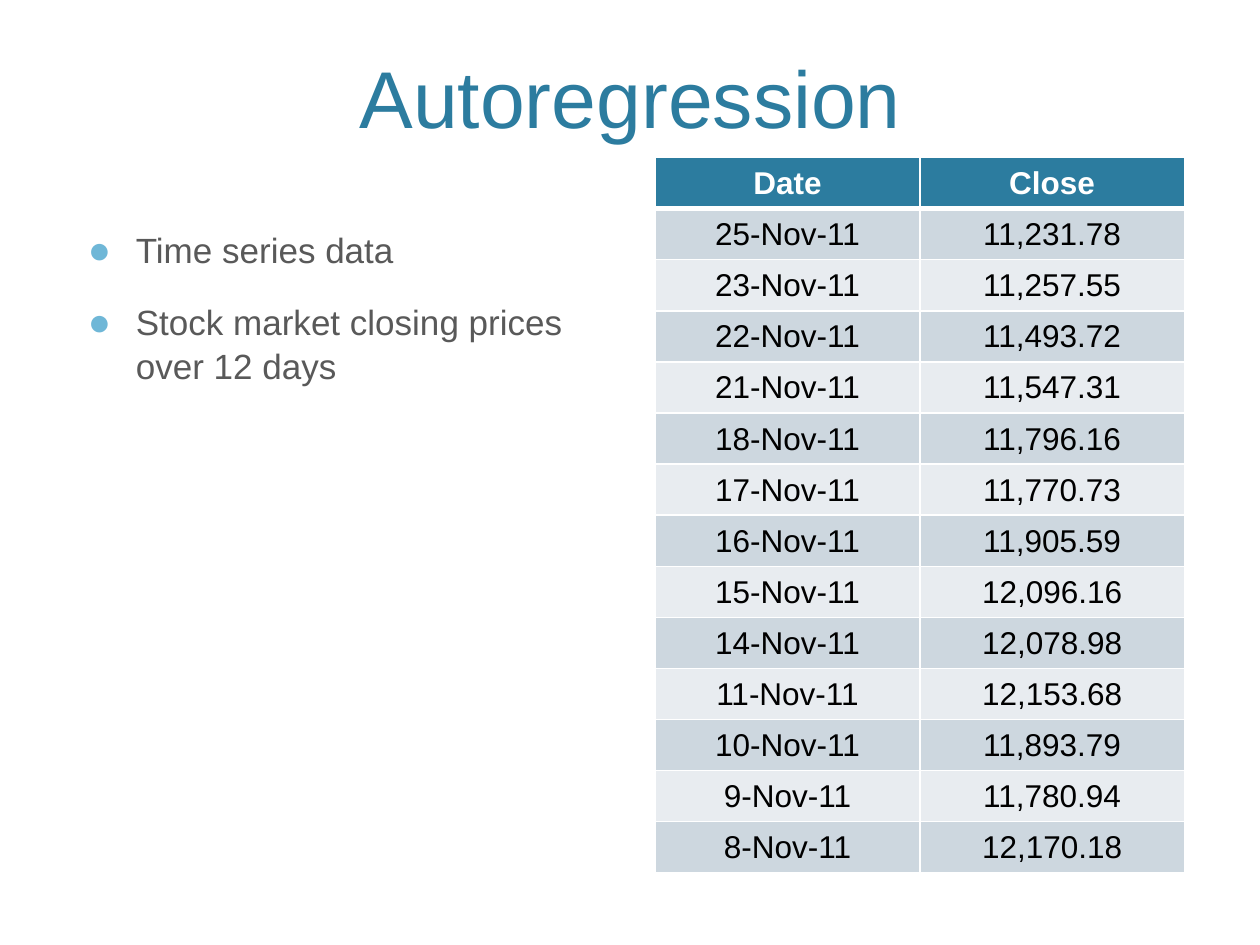
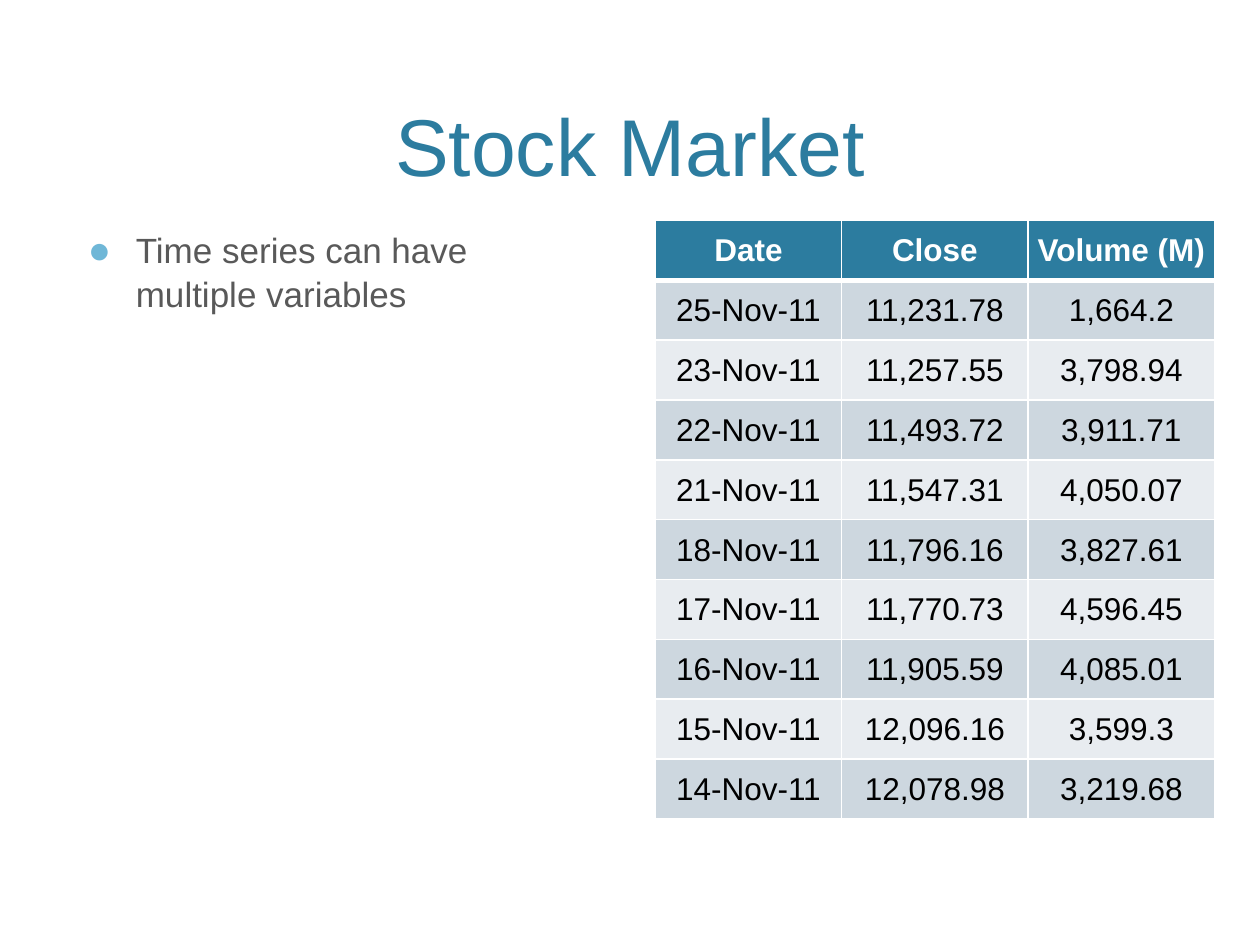
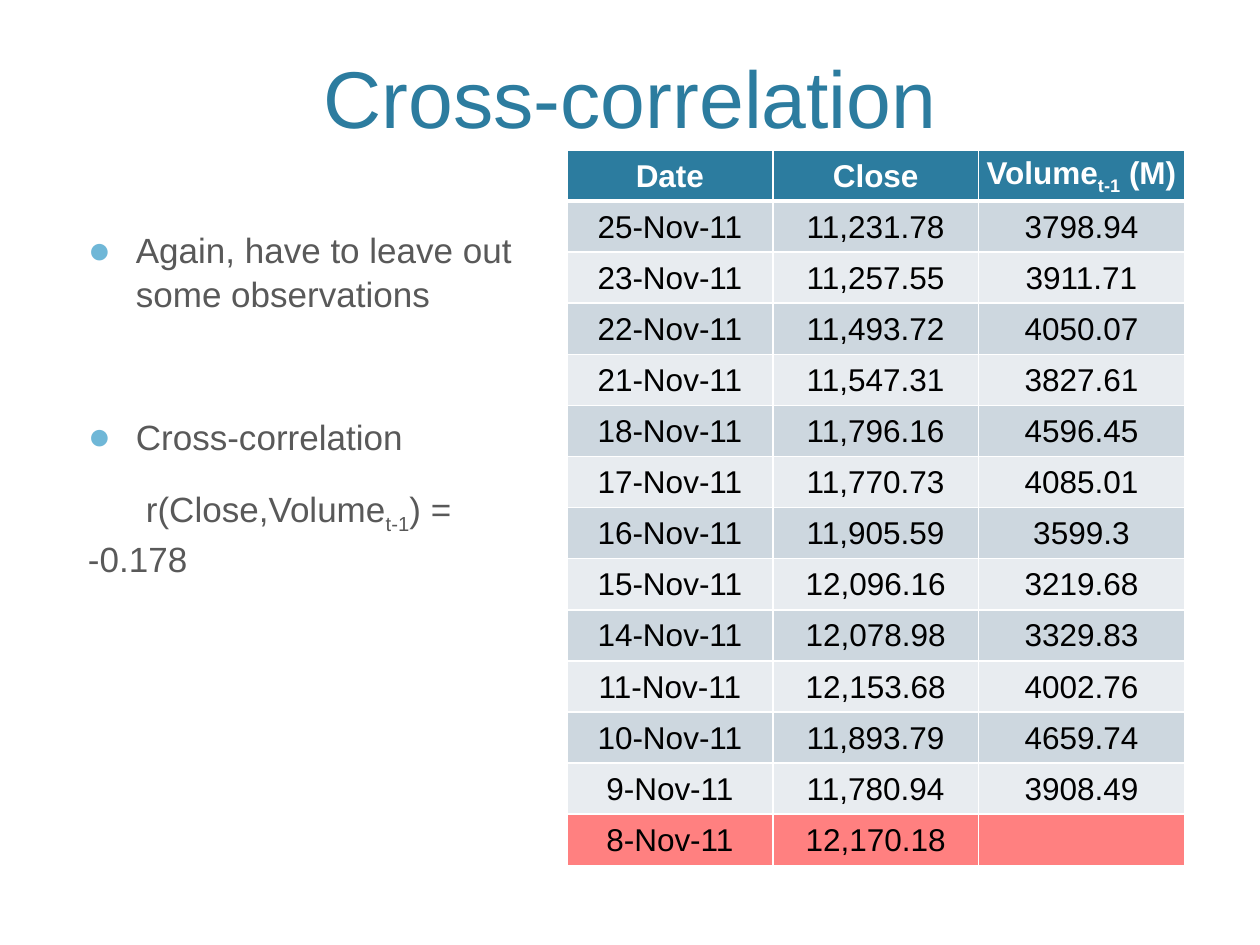
"""Build three slides on autoregression and cross-correlation of stock prices."""
from dataclasses import dataclass
from typing import Optional

from lxml import etree
from pptx import Presentation, util as u
from pptx.dml.color import RGBColor
from pptx.enum import text
from pptx.oxml import ns

FONT = "Arial"
COLORS = {
    "accent": "2C7C9F", "bullet": "6FB7D7", "body": "595959", "white": "FFFFFF",
    "black": "000000", "dark_band": "CDD7DF", "light_band": "E8ECF0", "dropped": "FF8080",
}
QUOTES = [
    ("25-Nov-11", 11231.78, 1664.2),
    ("23-Nov-11", 11257.55, 3798.94),
    ("22-Nov-11", 11493.72, 3911.71),
    ("21-Nov-11", 11547.31, 4050.07),
    ("18-Nov-11", 11796.16, 3827.61),
    ("17-Nov-11", 11770.73, 4596.45),
    ("16-Nov-11", 11905.59, 4085.01),
    ("15-Nov-11", 12096.16, 3599.3),
    ("14-Nov-11", 12078.98, 3219.68),
    ("11-Nov-11", 12153.68, 3329.83),
    ("10-Nov-11", 11893.79, 4002.76),
    ("9-Nov-11", 11780.94, 4659.74),
    ("8-Nov-11", 12170.18, 3908.49),
]


@dataclass
class Piece:
    """A stretch of text, optionally lowered as a subscript."""
    words: str
    subscript: bool = False


@dataclass
class Point:
    """A paragraph of the body text."""
    pieces: list[Piece]
    bulleted: bool = True
    space_before: float = 16


@dataclass
class PriceTable:
    """A table of quotes with its place in inches."""
    left: float
    top: float
    width: float
    height: float
    headers: list[list[Piece]]
    rows: list[list[str]]
    dropped_row: Optional[int] = None


@dataclass
class Page:
    """The content of one slide."""
    title: str
    title_height: float
    body_width: float
    points: list[Point]
    table: PriceTable


def color(name: str) -> RGBColor:
    """Look up a named colour."""
    return RGBColor.from_string(COLORS[name])


def add_runs(paragraph, pieces: list[Piece], size: float, color_name: str, bold: bool = False) -> None:
    """Add each piece to the paragraph as a formatted run."""
    for piece in pieces:
        run = paragraph.add_run()
        run.text = piece.words
        run.font.name, run.font.size, run.font.bold = FONT, u.Pt(size), bold
        run.font.color.rgb = color(color_name)
        if piece.subscript:
            run.font._element.set("baseline", "-25000")


def add_title(slide, title: str, height: float) -> None:
    """Place and format the title placeholder."""
    shape = slide.shapes.title
    shape.left, shape.top = u.Inches(0.6), u.Inches(0.12)
    shape.width, shape.height = u.Inches(8.8), u.Inches(height)
    frame = shape.text_frame
    frame.auto_size = text.MSO_AUTO_SIZE.NONE
    frame.vertical_anchor = text.MSO_ANCHOR.BOTTOM
    paragraph = frame.paragraphs[0]
    paragraph.alignment = text.PP_ALIGN.CENTER
    add_runs(paragraph, [Piece(title)], 46, "accent")


def set_indent(paragraph, margin: float, first_line: float) -> None:
    """Set the left margin and first-line indent in inches."""
    properties = paragraph._p.get_or_add_pPr()
    properties.set("marL", str(u.Inches(margin)))
    properties.set("indent", str(u.Inches(first_line)))


def add_bullet(paragraph) -> None:
    """Give the paragraph a coloured round bullet."""
    properties = paragraph._p.get_or_add_pPr()
    bullet_color = etree.SubElement(properties, ns.qn("a:buClr"))
    etree.SubElement(bullet_color, ns.qn("a:srgbClr"), val=COLORS["bullet"])
    etree.SubElement(properties, ns.qn("a:buSzPct"), val="110000")
    etree.SubElement(properties, ns.qn("a:buFont"), typeface=FONT)
    etree.SubElement(properties, ns.qn("a:buChar"), char="●")


def add_body(slide, points: list[Point], width: float) -> None:
    """Add the text on the left of the slide."""
    shape = slide.shapes.add_textbox(u.Inches(0.6), u.Inches(1.75), u.Inches(width), u.Inches(4.75))
    frame = shape.text_frame
    frame.word_wrap = True
    for index, point in enumerate(points):
        paragraph = frame.add_paragraph() if index else frame.paragraphs[0]
        if point.bulleted:
            set_indent(paragraph, 0.38, -0.38)
            add_bullet(paragraph)
        else:
            set_indent(paragraph, 0, 0.46)
        paragraph.line_spacing = 1.05
        if index:
            paragraph.space_before = u.Pt(point.space_before)
        add_runs(paragraph, point.pieces, 20, "body")


def add_borders(cell, row: int) -> None:
    """Draw white cell borders, thicker below the header."""
    properties = cell._tc.get_or_add_tcPr()
    thick_side = {0: "lnB", 1: "lnT"}.get(row)
    for side in ("lnL", "lnR", "lnT", "lnB"):
        width = u.Pt(3 if side == thick_side else 1)
        line = etree.SubElement(properties, ns.qn(f"a:{side}"), w=str(width))
        fill = etree.SubElement(line, ns.qn("a:solidFill"))
        etree.SubElement(fill, ns.qn("a:srgbClr"), val=COLORS["white"])


def add_price_table(slide, table: PriceTable) -> None:
    """Add a banded table with equal rows and columns."""
    contents = [table.headers] + [[[Piece(value)] if value else [] for value in row] for row in table.rows]
    row_count, column_count = len(contents), len(table.headers)
    grid = slide.shapes.add_table(
        row_count, column_count, u.Inches(table.left), u.Inches(table.top),
        u.Inches(table.width), u.Inches(table.height)).table
    for column in grid.columns:
        column.width = u.Inches(table.width / column_count)
    for row, cells in enumerate(contents):
        grid.rows[row].height = u.Inches(table.height / row_count)
        band = "dark_band" if row % 2 else "light_band"
        if row == 0:
            band = "accent"
        elif row == table.dropped_row:
            band = "dropped"
        for column, pieces in enumerate(cells):
            cell = grid.cell(row, column)
            cell.margin_left = cell.margin_right = cell.margin_top = u.Inches(0.01)
            cell.margin_bottom = 0
            cell.vertical_anchor = text.MSO_ANCHOR.MIDDLE
            add_borders(cell, row)
            cell.fill.solid()
            cell.fill.fore_color.rgb = color(band)
            paragraph = cell.text_frame.paragraphs[0]
            paragraph.alignment = text.PP_ALIGN.CENTER
            add_runs(paragraph, pieces, 18, "black" if row else "white", bold=row == 0)


def add_page(presentation, page: Page) -> None:
    """Add one slide with title, text and table."""
    slide = presentation.slides.add_slide(presentation.slide_layouts[5])
    add_title(slide, page.title, page.title_height)
    add_body(slide, page.points, page.body_width)
    add_price_table(slide, page.table)


def build_pages() -> list[Page]:
    """Describe the three slides."""
    closes = [[date, f"{close:,.2f}"] for date, close, _ in QUOTES]
    volumes = [volume for _, _, volume in QUOTES]
    with_volume = [row + [f"{volume:,}"] for row, volume in zip(closes, volumes)]
    lagged = [str(volume) for volume in volumes[1:]] + [""]
    with_lag = [row + [volume] for row, volume in zip(closes, lagged)]
    headers = [[Piece("Date")], [Piece("Close")]]
    lag = Piece("t-1", subscript=True)
    return [
        Page("Autoregression", 1.08, 4.2,
             [Point([Piece("Time series data")]),
              Point([Piece("Stock market closing prices over 12 days")])],
             PriceTable(5.2, 1.25, 4.2, 5.68, headers, closes)),
        Page("Stock Market", 1.46, 4.2,
             [Point([Piece("Time series can have multiple variables")])],
             PriceTable(5.2, 1.75, 4.44, 4.75, headers + [[Piece("Volume (M)")]], with_volume[:9])),
        Page("Cross-correlation", 1.08, 3.9,
             [Point([Piece("Again, have to leave out some observations")]),
              Point([Piece("Cross-correlation")], space_before=56),
              Point([Piece("r(Close,Volume"), lag, Piece(") = \t-0.178")], bulleted=False)],
             PriceTable(4.5, 1.19, 4.9, 5.68, headers + [[Piece("Volume"), lag, Piece(" (M)")]],
                        with_lag, dropped_row=len(with_lag))),
    ]


def main() -> None:
    """Build and save the presentation."""
    presentation = Presentation()
    presentation.slide_width, presentation.slide_height = u.Inches(10), u.Inches(7.5)
    for page in build_pages():
        add_page(presentation, page)
    presentation.save("out.pptx")


if __name__ == "__main__":
    main()
